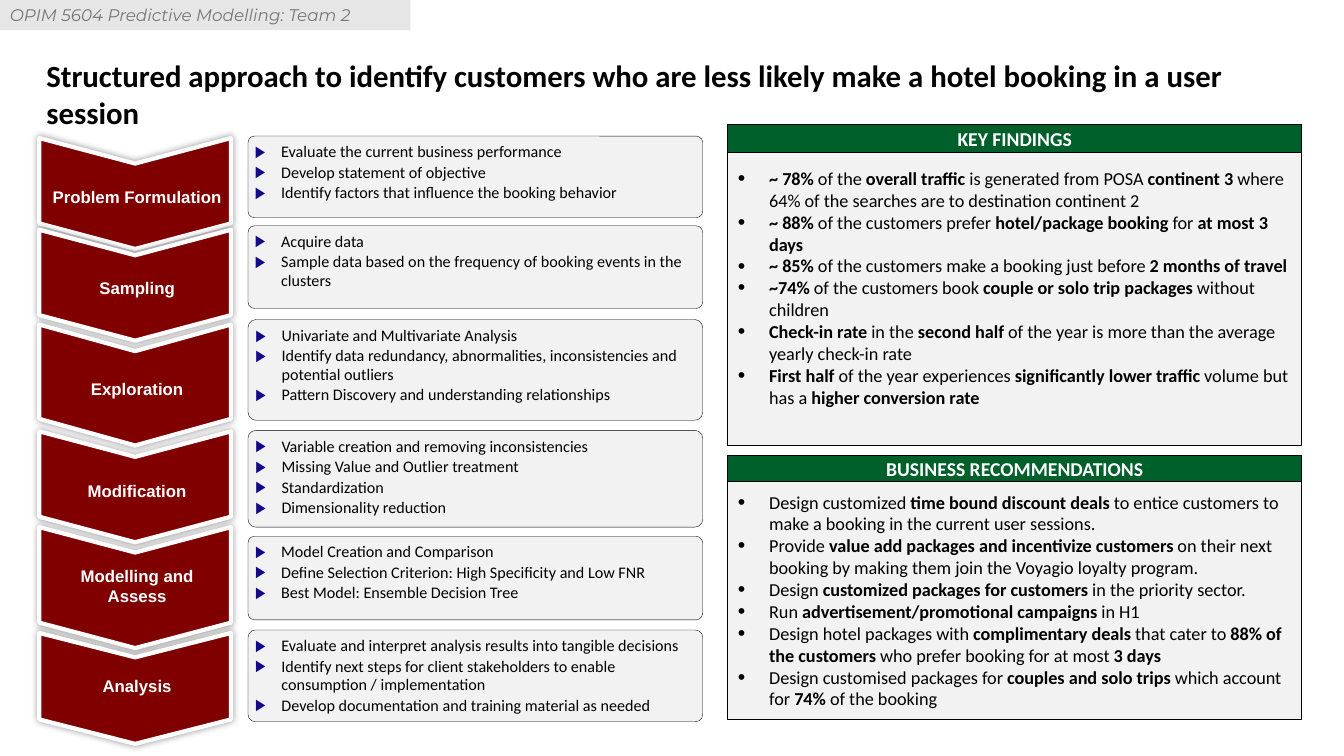
import pptx
import pptx.dml.color
import pptx.enum.shapes
import pptx.enum.text
import pptx.oxml
import pptx.oxml.ns
import pptx.util

Inches, Pt = pptx.util.Inches, pptx.util.Pt
Kind = pptx.enum.shapes.MSO_SHAPE
Align = pptx.enum.text.PP_ALIGN
Anchor = pptx.enum.text.MSO_ANCHOR

COURSE = "OPIM 5604 Predictive Modelling: Team 2"
TITLE = "Structured approach to identify customers who are less likely make a hotel booking in a user session"

# name, chevron (middle, height, notch), label middle, box (top, height), points
STEPS = [
    ("Problem Formulation", (1.92, 1.1, 0.23), 1.95, (1.35, 0.81), [
        "Evaluate the current business performance",
        "Develop statement of objective",
        "Identify factors that influence the booking behavior"]),
    ("Sampling", (2.83, 1.1, 0.23), 2.86, (2.24, 0.82), [
        "Acquire data",
        "Sample data based on the frequency of booking events in the clusters"]),
    ("Exploration", (3.82, 1.2, 0.22), 3.86, (3.17, 1), [
        "Univariate and Multivariate Analysis",
        "Identify data redundancy, abnormalities, inconsistencies and potential outliers",
        "Pattern Discovery and understanding relationships"]),
    ("Modification", (4.83, 1.1, 0.23), 4.87, (4.27, 0.96), [
        "Variable creation and removing inconsistencies",
        "Missing Value and Outlier treatment",
        "Standardization",
        "Dimensionality reduction"]),
    ("Modelling and Assess", (5.83, 1.2, 0.21), 5.81, (5.32, 0.83), [
        "Model Creation and Comparison",
        "Define Selection Criterion: High Specificity and Low FNR",
        "Best Model: Ensemble Decision Tree"]),
    ("Analysis", (6.83, 1.1, 0.22), 6.8, (6.25, 0.91), [
        "Evaluate and interpret analysis results into tangible decisions",
        "Identify next steps for client stakeholders to enable consumption / implementation",
        "Develop documentation and training material as needed"]),
]

# heading, top, band height, body height, inset above the text, points (bold between asterisks)
PANELS = [
    ("KEY FINDINGS", 1.24, 0.27, 2.91, 0.15, [
        "*~ 78% *of the *overall traffic* is generated from POSA *continent 3* where 64% of the searches are to destination continent 2",
        "*~ 88% *of the customers prefer *hotel/package booking* for *at most 3 days*",
        "*~ 85% *of the customers make a booking just before *2 months of travel*",
        "*~74% *of the customers book *couple or solo trip packages *without children",
        "*Check-in rate* in the *second half *of the year is more than the average yearly check-in rate",
        "*First half* of the year experiences *significantly lower traffic *volume but has a *higher conversion rate*"]),
    ("BUSINESS RECOMMENDATIONS", 4.52, 0.26, 2.36, 0.09, [
        "Design customized *time bound discount deals *to entice customers to make a booking in the current user sessions.",
        "Provide *value add packages and incentivize customers *on their next booking by making them join the Voyagio loyalty program.",
        "Design *customized packages for customers *in the priority sector.",
        "Run *advertisement/promotional campaigns *in H1",
        "Design hotel packages with *complimentary deals *that cater to *88% of the customers *who prefer booking for at most *3 days*",
        "Design customised packages for *couples and solo trips* which account for *74% *of the booking"]),
]


def color(code):
    return pptx.dml.color.RGBColor.from_string(code)


def node(xml):
    """Parse one drawing element, given without its namespace."""
    tag, rest = xml[:xml.index(" ")], xml[xml.index(" "):]
    return pptx.oxml.parse_xml(tag + " " + pptx.oxml.ns.nsdecls("a") + rest)


def shape(kind, x, y, w, h, fill, line=None, width=0.75):
    item = slide.shapes.add_shape(kind, Inches(x), Inches(y), Inches(w), Inches(h))
    item.shadow.inherit = False
    item.fill.solid()
    item.fill.fore_color.rgb = color(fill)
    if line:
        item.line.color.rgb = color(line)
        item.line.width = Pt(width)
    else:
        item.line.fill.background()
    return item


def frame(item, anchor=Anchor.TOP, side=0.1, top=0.05):
    text = item.text_frame
    text.word_wrap = True
    text.vertical_anchor = anchor
    text.margin_left = text.margin_right = Inches(side)
    text.margin_top, text.margin_bottom = Inches(top), Inches(0.05)
    return text


def write(para, words, size, font="Calibri", code="000000", bold=False, italic=False, align=Align.LEFT):
    para.alignment = align
    run = para.add_run()
    run.text = words
    run.font.name, run.font.size = font, Pt(size)
    run.font.bold, run.font.italic = bold, italic
    run.font.color.rgb = color(code)


def bullet(para, sign, code, indent, scale=100):
    props = para._p.get_or_add_pPr()
    props.set("marL", str(Inches(indent)))
    props.set("indent", str(-Inches(indent)))
    for xml in (f'<a:buClr ><a:srgbClr val="{code}"/></a:buClr>',
                f'<a:buSzPct val="{scale * 1000}"/>',
                '<a:buFont typeface="Arial"/>',
                f'<a:buChar char="{sign}"/>'):
        props.append(node(xml))


def points(text, lines, size, sign, code, indent, scale=100, space=None, before=None):
    for i, line in enumerate(lines):
        para = text.paragraphs[0] if i == 0 else text.add_paragraph()
        if space:
            para.line_spacing, para.space_before = space, Pt(before)
        for j, part in enumerate(line.split("*")):
            if part:
                write(para, part, size, bold=j % 2 == 1)
        bullet(para, sign, code, indent, scale)


def chevron(mid, high, notch):
    wide, center = 1.9, 1.34
    item = shape(Kind.CHEVRON, center - high / 2, mid - wide / 2, high, wide, "800000", "FFFFFF", 3)
    item.rotation = 90
    item.adjustments[0] = notch
    glow = node(f'<a:outerShdw blurRad="{Pt(5)}" dist="0" dir="0" algn="ctr" rotWithShape="0">'
                '<a:srgbClr val="000000"><a:alpha val="40000"/></a:srgbClr></a:outerShdw>')
    item._element.spPr.find(pptx.oxml.ns.qn("a:effectLst")).append(glow)


def label(name, mid):
    high = 0.5 if len(name) > 19 else 0.3
    item = slide.shapes.add_textbox(Inches(0.42), Inches(mid - high / 2), Inches(1.88), Inches(high))
    write(frame(item, Anchor.MIDDLE).paragraphs[0], name, 12, "Arial", "FFFFFF", True, align=Align.CENTER)


deck = pptx.Presentation()
deck.slide_width, deck.slide_height = Inches(13.33), Inches(7.5)
slide = deck.slides.add_slide(deck.slide_layouts[5])

title = slide.shapes.title
title.left, title.top, title.width, title.height = map(Inches, (0.36, 0.51, 12.53, 0.77))
write(frame(title).paragraphs[0], TITLE, 22, bold=True)
title.text_frame.auto_size = pptx.enum.text.MSO_AUTO_SIZE.NONE

for name, arrow, mid, (top, high), lines in STEPS:
    box = shape(Kind.ROUNDED_RECTANGLE, 2.46, top, 4.51, high, "F2F2F2", "000000", 0.25)
    box.adjustments[0] = 0.08
    points(frame(box, side=0.05), lines, 11.5, "▶", "120989", 0.26, space=0.95, before=1.5)
    chevron(*arrow)
    label(name, mid)

for head, top, band, high, inset, lines in PANELS:
    body = shape(Kind.RECTANGLE, 7.22, top + band, 5.69, high, "F2F2F2", "000000")
    points(frame(body, top=inset), lines, 13, "•", "000000", 0.31, 117)
    bar = shape(Kind.RECTANGLE, 7.22, top, 5.69, band, "00602B", "000000")
    write(frame(bar, Anchor.MIDDLE).paragraphs[0], head, 14, code="FFFFFF", bold=True, align=Align.CENTER)

strip = shape(Kind.RECTANGLE, 0, 0, 4.07, 0.3, "E6E6E6")
write(frame(strip).paragraphs[0], COURSE, 12, "Montserrat", "777777", italic=True)

deck.save("out.pptx")
